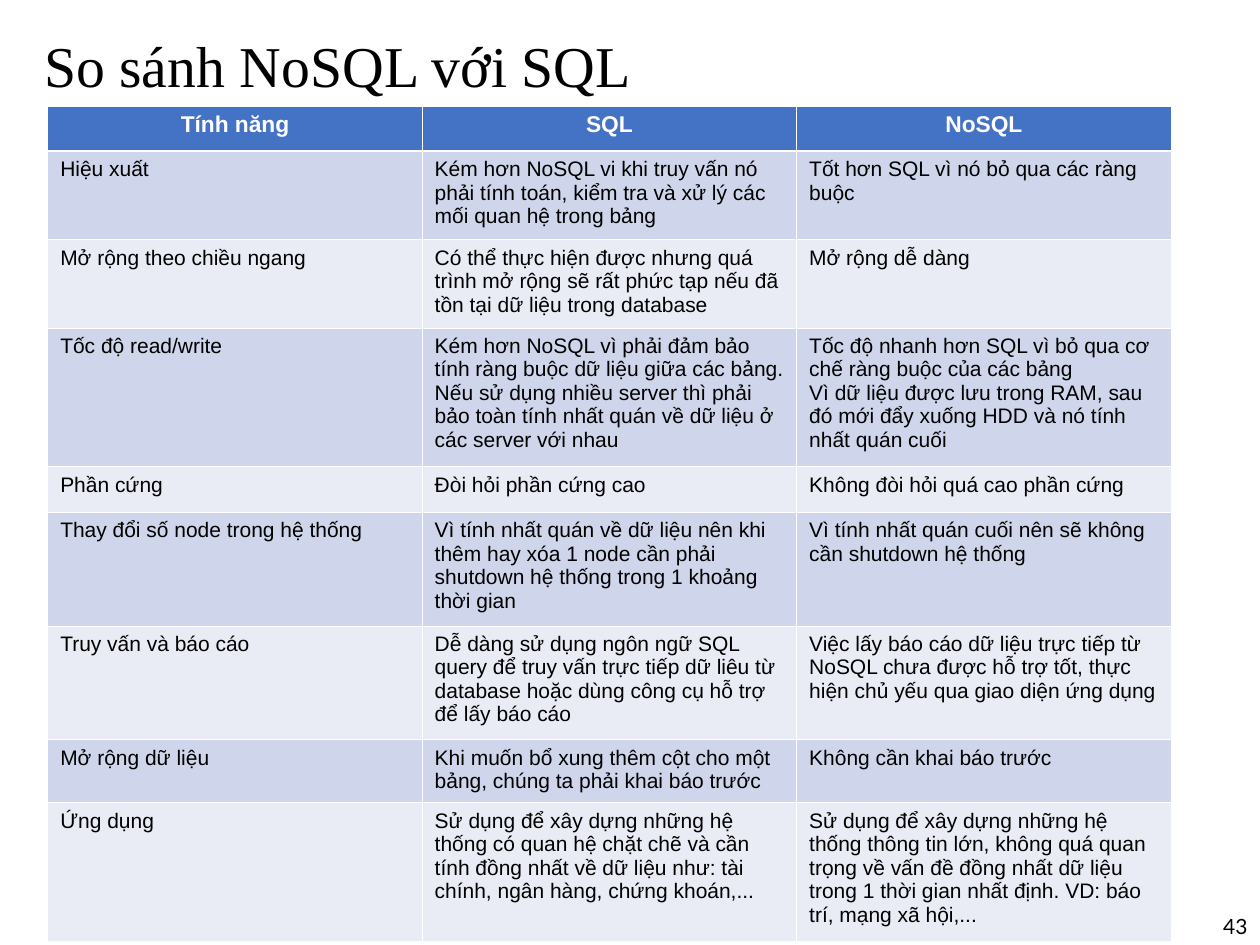
from lxml.etree import fromstring
from pptx import Presentation
from pptx.dml.color import RGBColor
from pptx.enum.text import MSO_ANCHOR, MSO_AUTO_SIZE, PP_ALIGN
from pptx.util import Pt

THEME = {
    "title": {"name": "Times New Roman", "size": Pt(33), "bold": False, "color": "000000"},
    "header": {"name": "Arial", "size": Pt(13), "bold": True, "color": "FFFFFF"},
    "body": {"name": "Arial", "size": Pt(12), "bold": False, "color": "000000"},
    "number": {"name": "Lato", "size": Pt(12), "bold": False, "color": "000000"},
    "header_fill": "4472C4",
    "bands": ["E9EBF5", "CFD5EA"],
    "border": "FFFFFF",
}
NS = "http://schemas.openxmlformats.org/drawingml/2006/main"


def write(tf, text, style, align):
    """Fill a text frame, one paragraph per line of text."""
    tf.text = text
    for p in tf.paragraphs:
        p.alignment = align
        for r in p.runs:
            for key, value in THEME[style].items():
                if key == "color":
                    r.font.color.rgb = RGBColor.from_string(value)
                else:
                    setattr(r.font, key, value)


def set_borders(cell, widths):
    """Draw the cell's sides; line elements go before the fill."""
    tc_pr = cell._tc.get_or_add_tcPr()
    for i, (side, width) in enumerate(widths.items()):
        tc_pr.insert(i, fromstring(
            f'<a:ln{side} xmlns:a="{NS}" w="{Pt(width)}"><a:solidFill>'
            f'<a:srgbClr val="{THEME["border"]}"/></a:solidFill></a:ln{side}>'))


prs = Presentation()
prs.slide_width, prs.slide_height = Pt(720), Pt(540)
s = prs.slides.add_slide(prs.slide_layouts[5])

# Title
title = s.shapes.title
title.left, title.top, title.width, title.height = Pt(18), Pt(18), Pt(725), Pt(42.5)
tf = title.text_frame
write(tf, "So sánh NoSQL với SQL", "title", PP_ALIGN.LEFT)
tf.auto_size = MSO_AUTO_SIZE.NONE
tf.vertical_anchor = MSO_ANCHOR.BOTTOM
tf.paragraphs[0].line_spacing = 0.9

# Slide number
sp = s.shapes.add_textbox(Pt(570), Pt(504), Pt(150), Pt(36))
tf = sp.text_frame
tf.word_wrap = True
tf.vertical_anchor = MSO_ANCHOR.BOTTOM
write(tf, "43", "number", PP_ALIGN.RIGHT)

# Comparison table: row height, then feature, SQL, NoSQL
ROWS = [
    (26, "Tính năng", "SQL", "NoSQL"),
    (50.5, "Hiệu xuất",
     "Kém hơn NoSQL vi khi truy vấn nó phải tính toán, kiểm tra và xử lý các mối quan hệ trong bảng",
     "Tốt hơn SQL vì nó bỏ qua các ràng buộc"),
    (50.5, "Mở rộng theo chiều ngang",
     "Có thể thực hiện được nhưng quá trình mở rộng sẽ rất phức tạp nếu đã tồn tại dữ liệu trong database",
     "Mở rộng dễ dàng"),
    (79, "Tốc độ read/write",
     "Kém hơn NoSQL vì phải đảm bảo tính ràng buộc dữ liệu giữa các bảng.\n"
     "Nếu sử dụng nhiều server thì phải bảo toàn tính nhất quán về dữ liệu ở các server với nhau",
     "Tốc độ nhanh hơn SQL vì bỏ qua cơ chế ràng buộc của các bảng\n"
     "Vì dữ liệu được lưu trong RAM, sau đó mới đẩy xuống HDD và nó tính nhất quán cuối"),
    (26, "Phần cứng", "Đòi hỏi phần cứng cao", "Không đòi hỏi quá cao phần cứng"),
    (65, "Thay đổi số node trong hệ thống",
     "Vì tính nhất quán về dữ liệu nên khi thêm hay xóa 1 node cần phải shutdown hệ thống "
     "trong 1 khoảng thời gian",
     "Vì tính nhất quán cuối nên sẽ không cần shutdown hệ thống"),
    (65, "Truy vấn và báo cáo",
     "Dễ dàng sử dụng ngôn ngữ SQL query để truy vấn trực tiếp dữ liêu từ database "
     "hoặc dùng công cụ hỗ trợ để lấy báo cáo",
     "Việc lấy báo cáo dữ liệu trực tiếp từ NoSQL chưa được hỗ trợ tốt, "
     "thực hiện chủ yếu qua giao diện ứng dụng"),
    (36, "Mở rộng dữ liệu",
     "Khi muốn bổ xung thêm cột cho một bảng, chúng ta phải khai báo trước",
     "Không cần khai báo trước"),
    (79, "Ứng dụng",
     "Sử dụng để xây dựng những hệ thống có quan hệ chặt chẽ và cần tính đồng nhất "
     "về dữ liệu như: tài chính, ngân hàng, chứng khoán,...",
     "Sử dụng để xây dựng những hệ thống thông tin lớn, không quá quan trọng về vấn đề "
     "đồng nhất dữ liệu trong 1 thời gian nhất định. VD: báo trí, mạng xã hội,..."),
]
COL_WIDTH = 214
THIN, THICK = 0.45, 1.47
table = s.shapes.add_table(len(ROWS), 3, Pt(27.25), Pt(60.5), Pt(3 * COL_WIDTH),
                           Pt(sum(row[0] for row in ROWS))).table
for column in table.columns:
    column.width = Pt(COL_WIDTH)

for i, (height, *texts) in enumerate(ROWS):
    table.rows[i].height = Pt(height)
    is_header = i == 0
    for j, text in enumerate(texts):
        cell = table.cell(i, j)
        write(cell.text_frame, text, "header" if is_header else "body",
              PP_ALIGN.CENTER if is_header else PP_ALIGN.LEFT)
        cell.fill.solid()
        cell.fill.fore_color.rgb = RGBColor.from_string(
            THEME["header_fill"] if is_header else THEME["bands"][i % 2])
        set_borders(cell, {"L": THIN, "R": THIN, "T": THICK if i == 1 else THIN,
                           "B": THICK if is_header else THIN})

prs.save("out.pptx")
